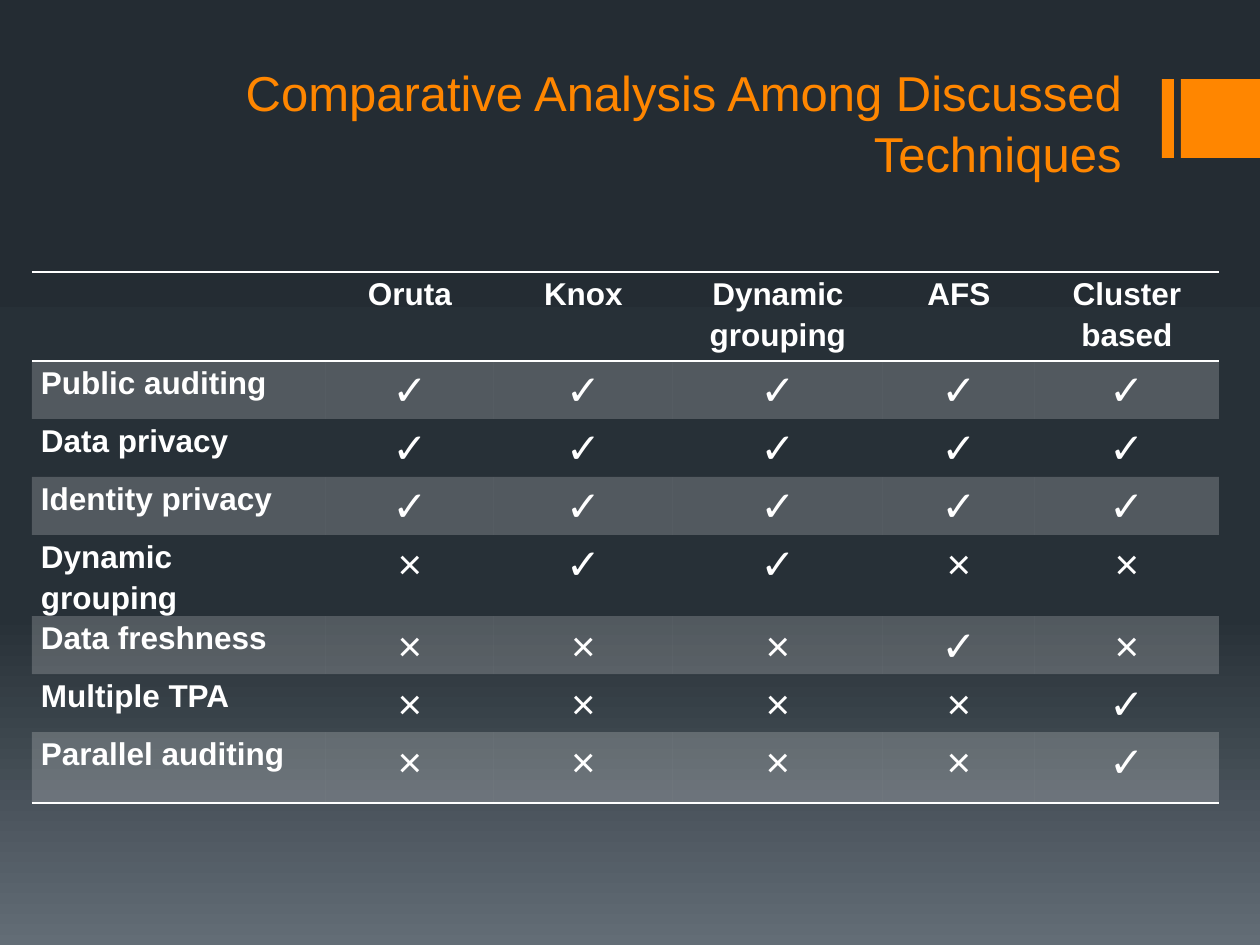
from copy import deepcopy
from dataclasses import dataclass

from lxml.etree import SubElement
from pptx import Presentation
from pptx.dml.color import RGBColor
from pptx.enum.shapes import MSO_SHAPE
from pptx.enum.text import MSO_ANCHOR, MSO_AUTO_SIZE, PP_ALIGN
from pptx.oxml import parse_xml
from pptx.oxml.ns import nsdecls, qn
from pptx.util import Emu, Pt

PX = 914400 // 126
NO_STYLE = "{2D5ABB26-0587-4C30-8999-92F81FD0307C}"


@dataclass(frozen=True)
class Theme:
    font: str = "Arial"
    accent: str = "FF8600"
    text: str = "FFFFFF"
    backdrop: tuple = ((0, "242C33"), (0.65, "273037"), (1, "636D76"))
    band_alpha: int = 20
    title_size: int = 28
    label_size: int = 18
    mark_size: int = 24


THEME = Theme()

COLUMNS = ["", "Oruta", "Knox", "Dynamic grouping", "AFS", "Cluster based"]
COL_WIDTHS = [294, 168, 179, 210, 152, 184]
ROW_HEIGHTS = [89, 58, 58, 58, 53, 58, 58, 71]
MARKS = {"y": "\u2713", "n": "\u00d7"}
FEATURES = [
    ("Public auditing", "yyyyy"),
    ("Data privacy", "yyyyy"),
    ("Identity privacy", "yyyyy"),
    ("Dynamic grouping", "nyynn"),
    ("Data freshness", "nnnyn"),
    ("Multiple TPA", "nnnny"),
    ("Parallel auditing", "nnnny"),
]


def px(n):
    return Emu(n * PX)


def write(tf, text, size, color=THEME.text, bold=False, align=PP_ALIGN.CENTER,
          spacing=1.0):
    p = tf.paragraphs[0]
    p.alignment = align
    p.line_spacing = spacing
    r = p.add_run()
    r.text = text
    r.font.name = THEME.font
    r.font.size = Pt(size)
    r.font.bold = bold
    r.font.color.rgb = RGBColor.from_string(color)


def paint_background(s):
    fill = s.background.fill
    fill.gradient()
    fill.gradient_angle = 270
    first = fill.gradient_stops[0]
    gs_list = s.background._cSld.find(".//" + qn("a:gsLst"))
    gs_list.insert(1, deepcopy(gs_list[0]))
    for stop, (position, color) in zip(fill.gradient_stops, THEME.backdrop):
        stop.position = position
        stop.color.rgb = RGBColor.from_string(color)


def add_title(s, text, left, top, width, height):
    sp = s.shapes.title
    sp.left, sp.top, sp.width, sp.height = map(px, (left, top, width, height))
    tf = sp.text_frame
    tf.word_wrap = True
    tf.auto_size = MSO_AUTO_SIZE.NONE
    tf.vertical_anchor = MSO_ANCHOR.BOTTOM
    write(tf, text, THEME.title_size, THEME.accent, align=PP_ALIGN.RIGHT,
          spacing=1.05)


def add_accent(s, left, top, width, height):
    """A thin bar, a gap, and a square that fills the right end of the box."""
    bar = 12
    for x, w in ((left, bar), (left + width - height, height)):
        sp = s.shapes.add_shape(MSO_SHAPE.RECTANGLE, px(x), px(top), px(w), px(height))
        sp.shadow.inherit = False
        sp.fill.solid()
        sp.fill.fore_color.rgb = RGBColor.from_string(THEME.accent)
        sp.line.fill.background()


def shade(cell, banded):
    if not banded:
        cell.fill.background()
        return
    cell.fill.solid()
    cell.fill.fore_color.rgb = RGBColor.from_string(THEME.text)
    color = cell._tc.tcPr.find(".//" + qn("a:srgbClr"))
    SubElement(color, qn("a:alpha"), val=str(THEME.band_alpha * 1000))


def rule(cell, sides):
    """Draw 1 pt rules; sides is a string of T and B."""
    for i, side in enumerate(sides):
        cell._tc.get_or_add_tcPr().insert(i, parse_xml(
            f'<a:ln{side} {nsdecls("a")} w="12700"><a:solidFill>'
            f'<a:srgbClr val="{THEME.text}"/></a:solidFill></a:ln{side}>'))


def add_comparison(s, left, top, width, height):
    rows = [COLUMNS] + [[name] + [MARKS[m] for m in marks] for name, marks in FEATURES]
    frame = s.shapes.add_table(len(rows), len(COLUMNS), px(left), px(top),
                               px(width), px(height))
    table = frame.table
    table._tbl.tblPr.find(qn("a:tableStyleId")).text = NO_STYLE
    for col, w in zip(table.columns, COL_WIDTHS):
        col.width = px(w)
    for row, h in zip(table.rows, ROW_HEIGHTS):
        row.height = px(h)
    frame.height = px(height)

    for i, values in enumerate(rows):
        sides = "TB" if i == 0 else "B" if i == len(rows) - 1 else ""
        for j, value in enumerate(values):
            cell = table.cell(i, j)
            cell.margin_left = cell.margin_right = px(9)
            cell.margin_top = cell.margin_bottom = 0
            shade(cell, banded=i % 2 == 1)
            rule(cell, sides)
            if value:
                label = i == 0 or j == 0
                write(cell.text_frame, value,
                      THEME.label_size if label else THEME.mark_size, bold=label,
                      align=PP_ALIGN.CENTER if j else PP_ALIGN.JUSTIFY, spacing=1.15)


def build_slide(prs):
    s = prs.slides.add_slide(prs.slide_layouts[5])
    paint_background(s)
    add_accent(s, 1162, 79, 98, 79)
    add_title(s, "Comparative Analysis Among Discussed Techniques", 42, 30, 1092, 159)
    add_comparison(s, 32, 272, 1187, 537)


prs = Presentation()
prs.slide_width, prs.slide_height = px(1260), px(945)
build_slide(prs)
prs.save("out.pptx")
